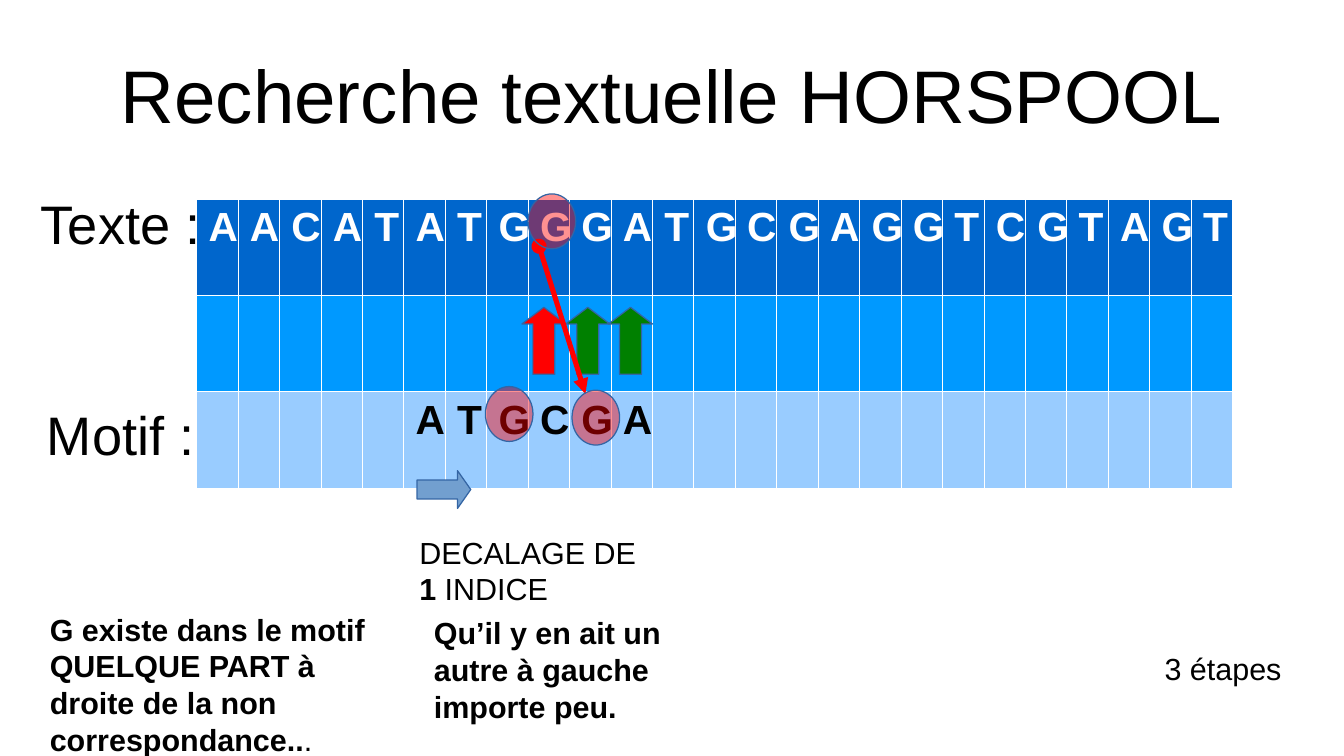
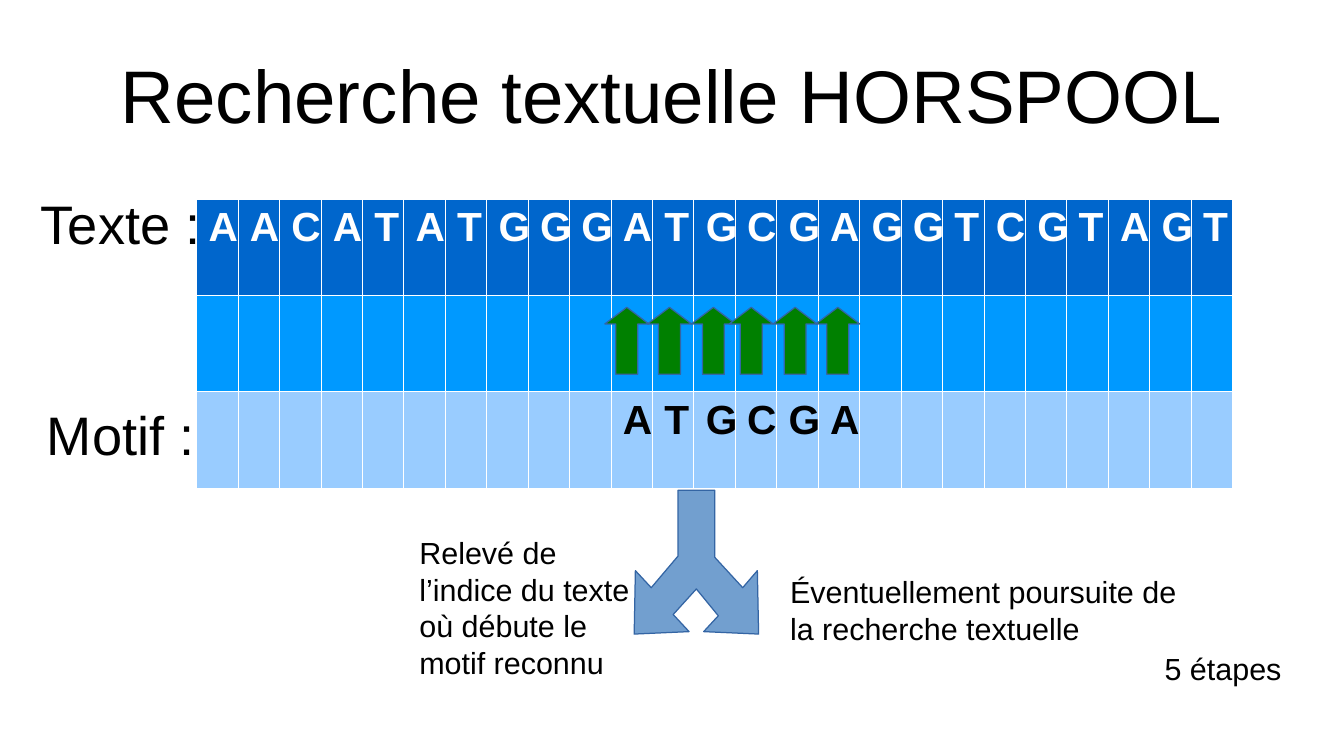
from dataclasses import dataclass

from lxml import etree
from pptx import Presentation
from pptx.dml.color import RGBColor as Rgb
from pptx.enum.shapes import MSO_CONNECTOR as Connector, MSO_SHAPE as Preset
from pptx.enum.text import MSO_ANCHOR as Anchor, MSO_AUTO_SIZE as AutoSize, PP_ALIGN as Align
from pptx.oxml import parse_xml
from pptx.oxml.ns import nsdecls, qn
from pptx.util import Inches, Pt


@dataclass(frozen=True)
class Theme:
    font: str = "Arial"
    title_size: int = 44
    label_size: int = 32
    letter_size: int = 24
    note_size: int = 18
    black: str = "000000"
    white: str = "FFFFFF"
    rows: tuple = ("0066CC", "0099FF", "99CCFF")
    match: str = "008000"
    mismatch: str = "FF0000"
    accent: str = "729FCF"
    outline: str = "3465A4"


THEME = Theme()
TITLE = "Recherche textuelle HORSPOOL"
TEXT = "AACATATGGGATGCGAGGTCGTAGT"
PATTERN = "ATGCGA"
COLUMN, ROW = 0.34, 0.79

# What changes from one slide to the next: note = (left, top, width, height, [(text, bold), ...])
STEPS = [
    {
        "offset": 5,
        "arrows": [(4.28, THEME.mismatch), (4.64, THEME.match), (4.99, THEME.match)],
        "notes": [
            (3.34, 4.33, 2.06, 0.66, [("DECALAGE DE ", False), ("1", True), (" INDICE", False)]),
            (0.31, 4.96, 2.91, 1.22,
             [("G existe dans le motif QUELQUE PART à droite de la non correspondance..", True),
              (".", False)]),
            (3.46, 4.99, 2.6, 0.94, [("Qu’il y en ait un autre à gauche importe peu.", True)]),
            (9.45, 5.28, 1.42, 0.39, [("3 étapes", False)]),
        ],
        "circles": [(4.33, 1.59), (3.98, 3.17), (4.69, 3.2)],
        "fork": [],
    },
    {
        "offset": 10,
        "arrows": [(left, THEME.match) for left in (4.96, 5.31, 5.67, 5.98, 6.34, 6.69)],
        "notes": [
            (3.34, 4.33, 2.06, 1.22,
             [("Relevé de l’indice du texte où débute le motif reconnu", False)]),
            (6.38, 4.65, 3.46, 0.66,
             [("Éventuellement poursuite de la recherche textuelle", False)]),
            (9.45, 5.28, 1.42, 0.39, [("5 étapes", False)]),
        ],
        "circles": [],
        "fork": [(5.77, 5.18), (5.89, 5.05), (5.71, 4.83), (5.52, 5.04), (5.65, 5.18),
                 (5.2, 5.2), (5.21, 4.68), (5.34, 4.82), (5.56, 4.56), (5.56, 4.02),
                 (5.86, 4.02), (5.86, 4.57), (6.09, 4.82), (6.21, 4.68), (6.22, 5.2)],
    },
]


def write(frame, spans, size, color=THEME.black, align=Align.LEFT):
    """Fill the first paragraph of a text frame with (text, bold) spans."""
    para = frame.paragraphs[0]
    para.alignment = align
    para.space_before = Pt(0)
    for text, bold in spans:
        span = para.add_run()
        span.text = text
        span.font.color.rgb = Rgb.from_string(color)
        for name, value in {"name": THEME.font, "size": Pt(size), "bold": bold}.items():
            setattr(span.font, name, value)


def paint(shape, color):
    """Give a shape a plain fill, the thin outline and no shadow."""
    shape.shadow.inherit = False
    shape.fill.solid()
    shape.fill.fore_color.rgb = Rgb.from_string(color)
    shape.line.color.rgb = Rgb.from_string(THEME.outline)
    shape.line.width = Pt(0)


deck = Presentation()
deck.slide_width, deck.slide_height = Inches(11.02), Inches(6.2)

for step in STEPS:
    page = deck.slides.add_slide(deck.slide_layouts[0])
    shapes = page.shapes

    # Title and row labels
    title, subtitle = page.placeholders
    motif = shapes.add_textbox(0, 0, 0, 0)
    for box, text, size, area in [
        (title, TITLE, THEME.title_size, (0.55, 0.25, 9.92, 1.04)),
        (subtitle, "Texte :", THEME.label_size, (0.24, 1.45, 1.5, 0.75)),
        (motif, "Motif :", THEME.label_size, (0.24, 3.18, 1.5, 0.75)),
    ]:
        box.left, box.top, box.width, box.height = map(Inches, area)
        layout = {"word_wrap": True, "vertical_anchor": Anchor.MIDDLE,
                  "auto_size": AutoSize.SHAPE_TO_FIT_TEXT,
                  "margin_left": 0, "margin_right": 0, "margin_top": 0, "margin_bottom": 0}
        for name, value in layout.items():
            setattr(box.text_frame, name, value)
        write(box.text_frame, [(text, False)], size, align=Align.CENTER)

    # Letter grid: text on top, pattern shifted by its offset at the bottom
    grid = shapes.add_table(3, len(TEXT), Inches(1.61), Inches(1.63),
                            Inches(COLUMN * len(TEXT)), Inches(ROW * 3)).table
    grid.first_row = grid.horz_banding = False
    for column in grid.columns:
        column.width = Inches(COLUMN)
    shifted = " " * step["offset"] + PATTERN
    lines = [(TEXT, THEME.white), ("", THEME.black), (shifted, THEME.black)]
    for row, (letters, ink), fill in zip(grid.rows, lines, THEME.rows):
        row.height = Inches(ROW)
        for cell, letter in zip(row.cells, letters.ljust(len(TEXT))):
            cell.fill.solid()
            cell.fill.fore_color.rgb = Rgb.from_string(fill)
            for index, side in enumerate(("lnL", "lnR", "lnT", "lnB")):
                cell._tc.get_or_add_tcPr().insert(index, parse_xml(
                    f'<a:{side} {nsdecls("a")} w="{Pt(0.06)}"><a:solidFill>'
                    f'<a:srgbClr val="{THEME.white}"/></a:solidFill></a:{side}>'))
            if letter != " ":
                write(cell.text_frame, [(letter, True)], THEME.letter_size, ink, Align.CENTER)

    # Comparison arrows
    for left, color in step["arrows"]:
        arrow = shapes.add_shape(Preset.UP_ARROW, Inches(left), Inches(2.52),
                                 Inches(0.36), Inches(0.55))
        arrow.adjustments[1] = 0.38
        paint(arrow, color)

    # Shift: link between the two letters and direction of the move
    if step["circles"]:
        link = shapes.add_connector(Connector.STRAIGHT, Inches(4.42), Inches(2.02),
                                    Inches(4.8), Inches(3.23))
        link.line.color.rgb = Rgb.from_string(THEME.mismatch)
        link.line.width = Pt(3)
        for tag, kind in (("a:headEnd", "oval"), ("a:tailEnd", "triangle")):
            etree.SubElement(link.line._get_or_add_ln(), qn(tag), type=kind)
        etree.SubElement(link._element.spPr, qn("a:effectLst"))

        move = shapes.add_shape(Preset.RIGHT_ARROW, Inches(3.42), Inches(3.86),
                                Inches(0.44), Inches(0.31))
        move.adjustments[1] = 0.35
        paint(move, THEME.accent)

    # Notes and step count
    for *area, spans in step["notes"]:
        note = shapes.add_textbox(*map(Inches, area))
        note.text_frame.word_wrap = True
        note.text_frame.auto_size = AutoSize.SHAPE_TO_FIT_TEXT
        write(note.text_frame, spans, THEME.note_size)

    # Translucent circles around the letters
    for left, top in step["circles"]:
        circle = shapes.add_shape(Preset.OVAL, Inches(left), Inches(top),
                                  Inches(0.39), Inches(0.45))
        paint(circle, THEME.mismatch)
        tint = circle._element.spPr.find(qn("a:solidFill")).find(qn("a:srgbClr"))
        etree.SubElement(tint, qn("a:alpha"), val="43000")

    # Forked arrow once the pattern is found
    if step["fork"]:
        start, *corners = [(Inches(x), Inches(y)) for x, y in step["fork"]]
        outline = shapes.build_freeform(*start)
        outline.add_line_segments(corners, close=True)
        paint(outline.convert_to_shape(), THEME.accent)

deck.save("out.pptx")
